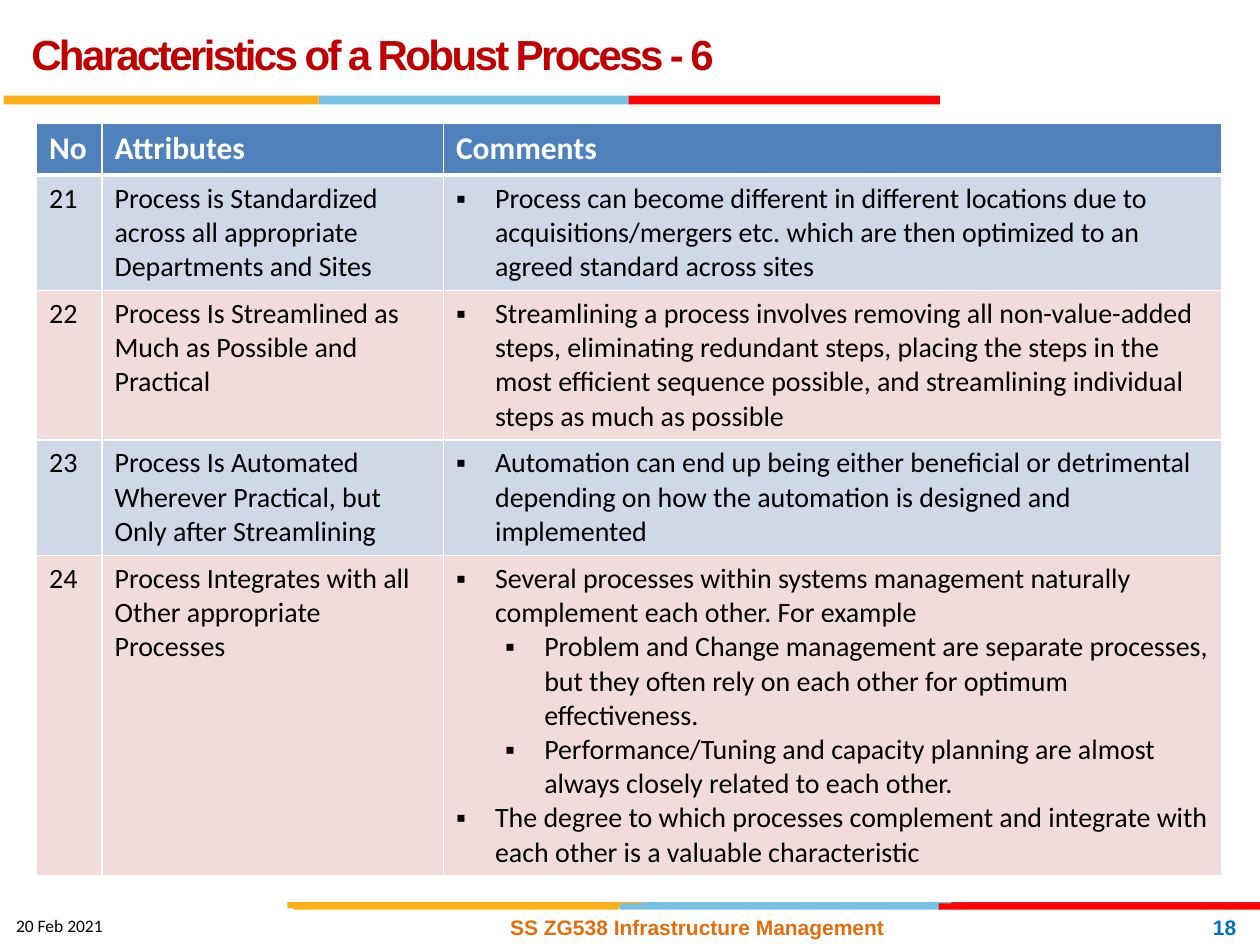
from typing import NamedTuple

from lxml.etree import SubElement
from pptx import Presentation
from pptx.dml.color import RGBColor as RGB
from pptx.enum.shapes import MSO_SHAPE as Shape
from pptx.enum.text import MSO_ANCHOR as Anchor, PP_ALIGN as Align
from pptx.oxml.ns import qn
from pptx.util import Inches, Pt

WHITE = RGB(0xFF, 0xFF, 0xFF)
BLACK = RGB(0, 0, 0)
GOLD = RGB(0xFC, 0xB0, 0x17)
SKY = RGB(0x76, 0xC2, 0xE5)
RED = RGB(0xFF, 0, 0)
BRICK = RGB(0xE3, 0x1C, 0x24)
WINE = RGB(0xC0, 0, 0)
RUST = RGB(0xE4, 0x6C, 0x0A)
BLUE = RGB(0, 0x70, 0xC0)
HEAD = RGB(0x4F, 0x81, 0xBD)
PALE = RGB(0xD0, 0xD8, 0xE8)
PINK = RGB(0xF2, 0xDC, 0xDB)

COLS, ROWS = 100, 75
WIDE, HIGH = Inches(10), Inches(7.5)


class Box(NamedTuple):
    col: float
    row: float
    cols: float
    rows: float


class Font(NamedTuple):
    size: float
    color: RGB
    bold: bool = False
    name: str = "Arial"


class Label(NamedTuple):
    text: str
    box: Box
    font: Font
    align: Align = Align.LEFT
    anchor: Anchor = Anchor.MIDDLE
    wrap: bool = True
    lead: float = 0
    track: float = 0


class Bar(NamedTuple):
    box: Box
    color: RGB


class Point(NamedTuple):
    text: str
    depth: int = 0


class Entry(NamedTuple):
    name: str
    notes: list[Point]
    rows: float


BARS = [
    Bar(Box(50.6, 71.6, 25.5, 0.5), SKY),
    Bar(Box(75.5, 71.6, 24.5, 0.5), BRICK),
    Bar(Box(22.8, 71.6, 28.2, 0.5), GOLD),
    Bar(Box(49.2, 71.7, 25.5, 0.5), SKY),
    Bar(Box(23.3, 71.7, 25.8, 0.5), GOLD),
    Bar(Box(74.5, 71.7, 25.5, 0.5), RED),
    Bar(Box(25.3, 7.6, 24.7, 0.7), SKY),
    Bar(Box(0.3, 7.6, 25, 0.7), GOLD),
    Bar(Box(49.9, 7.6, 24.7, 0.7), RED),
]

LABELS = [
    Label("20 Feb 2021", Box(0.3, 72.1, 9, 2.7), Font(10, BLACK, False, "Calibri"),
          anchor=Anchor.TOP, wrap=False),
    Label("Characteristics of a Robust Process - 6", Box(1.5, 0.9, 76.8, 5.7),
          Font(24, WINE, True), lead=36, track=-1.5),
    Label("SS ZG538 Infrastructure Management", Box(39.2, 71.6, 32.3, 4),
          Font(12, RUST, True), Align.CENTER),
    Label("18", Box(75.8, 71.6, 23.3, 4), Font(12, BLUE, True), Align.RIGHT),
]

GRID = Box(2.9, 9.8, 94.1, 58.7)
SPANS = [5.2, 27.1, 61.8]
TITLES = ["No", "Attributes", "Comments"]
TOP = 4.1
FIRST = 21
ENTRIES = [
    Entry("Process is Standardized across all appropriate Departments and Sites", [
        Point("Process can become different in different locations due to acquisitions/mergers "
              "etc. which are then optimized to an agreed standard across sites")], 8.9),
    Entry("Process Is Streamlined as Much as Possible and Practical", [
        Point("Streamlining a process involves removing all non-value-added steps, eliminating "
              "redundant steps, placing the steps in the most efficient sequence possible, and "
              "streamlining individual steps as much as possible")], 11.7),
    Entry("Process Is Automated Wherever Practical, but Only after Streamlining", [
        Point("Automation can end up being either beneficial or detrimental depending on how "
              "the automation is designed and implemented")], 9),
    Entry("Process Integrates with all Other appropriate Processes", [
        Point("Several processes within systems management naturally complement each other. "
              "For example"),
        Point("Problem and Change management are separate processes, but they often rely on "
              "each other for optimum effectiveness.", 1),
        Point("Performance/Tuning and capacity planning are almost always closely related to "
              "each other.", 1),
        Point("The degree to which processes complement and integrate with each other is a "
              "valuable characteristic")], 25),
]


def across(n: float) -> int:
    return round(WIDE * n / COLS)


def down(n: float) -> int:
    return round(HIGH * n / ROWS)


def place(box: Box) -> tuple[int, int, int, int]:
    return across(box.col), down(box.row), across(box.cols), down(box.rows)


def add_run(para, text: str, font: Font):
    run = para.add_run()
    run.text = text
    run.font.size = Pt(font.size)
    run.font.name = font.name
    run.font.bold = font.bold
    run.font.color.rgb = font.color
    return run


def add_bar(slide, bar: Bar) -> None:
    shape = slide.shapes.add_shape(Shape.RECTANGLE, *place(bar.box))
    shape.shadow.inherit = False
    shape.fill.solid()
    shape.fill.fore_color.rgb = bar.color
    shape.line.fill.background()


def add_label(slide, label: Label) -> None:
    frame = slide.shapes.add_textbox(*place(label.box)).text_frame
    frame.word_wrap = label.wrap
    frame.vertical_anchor = label.anchor
    para = frame.paragraphs[0]
    para.alignment = label.align
    if label.lead:
        para.line_spacing = Pt(label.lead)
    run = add_run(para, label.text, label.font)
    if label.track:
        run.font._element.set("spc", str(round(label.track * 100)))


def add_edge(props, side: str, width: float) -> None:
    line = SubElement(props, qn(f"a:ln{side}"), w=str(Pt(width)))
    fill = SubElement(line, qn("a:solidFill"))
    SubElement(fill, qn("a:srgbClr"), val=str(WHITE))


def add_mark(para, depth: int) -> None:
    props = para._p.get_or_add_pPr()
    props.set("marL", str(Inches(0.31 + 0.39 * depth)))
    props.set("indent", str(Inches(-0.31)))
    SubElement(props, qn("a:buFont"), typeface="Arial")
    SubElement(props, qn("a:buChar"), char="▪")


def fill_cell(cell, points: list[Point], font: Font, color: RGB,
              top: float = 1, base: float = 1, mark: bool = False) -> None:
    props = cell._tc.get_or_add_tcPr()
    for side, width in zip("LRTB", (1, 1, top, base)):
        add_edge(props, side, width)
    cell.fill.solid()
    cell.fill.fore_color.rgb = color
    frame = cell.text_frame
    for i, point in enumerate(points):
        para = frame.add_paragraph() if i else frame.paragraphs[0]
        if mark:
            add_mark(para, point.depth)
        add_run(para, point.text, font)


def add_grid(slide) -> None:
    table = slide.shapes.add_table(len(ENTRIES) + 1, len(SPANS), *place(GRID)).table
    for col, span in zip(table.columns, SPANS):
        col.width = across(span)
    for row, size in zip(table.rows, [TOP] + [e.rows for e in ENTRIES]):
        row.height = down(size)
    for c, title in enumerate(TITLES):
        fill_cell(table.cell(0, c), [Point(title)], Font(18, WHITE, True, "Calibri"),
                  HEAD, base=3)
    body = Font(16, BLACK, False, "Calibri")
    for r, entry in enumerate(ENTRIES, 1):
        parts = [[Point(str(FIRST + r - 1))], [Point(entry.name)], entry.notes]
        for c, points in enumerate(parts):
            fill_cell(table.cell(r, c), points, body, PALE if r % 2 else PINK,
                      top=3 if r == 1 else 1, mark=c == 2)


def main() -> None:
    deck = Presentation()
    deck.slide_width, deck.slide_height = WIDE, HIGH
    slide = deck.slides.add_slide(deck.slide_layouts[6])
    for bar in BARS:
        add_bar(slide, bar)
    add_grid(slide)
    for label in LABELS:
        add_label(slide, label)
    deck.save("out.pptx")


if __name__ == "__main__":
    main()
